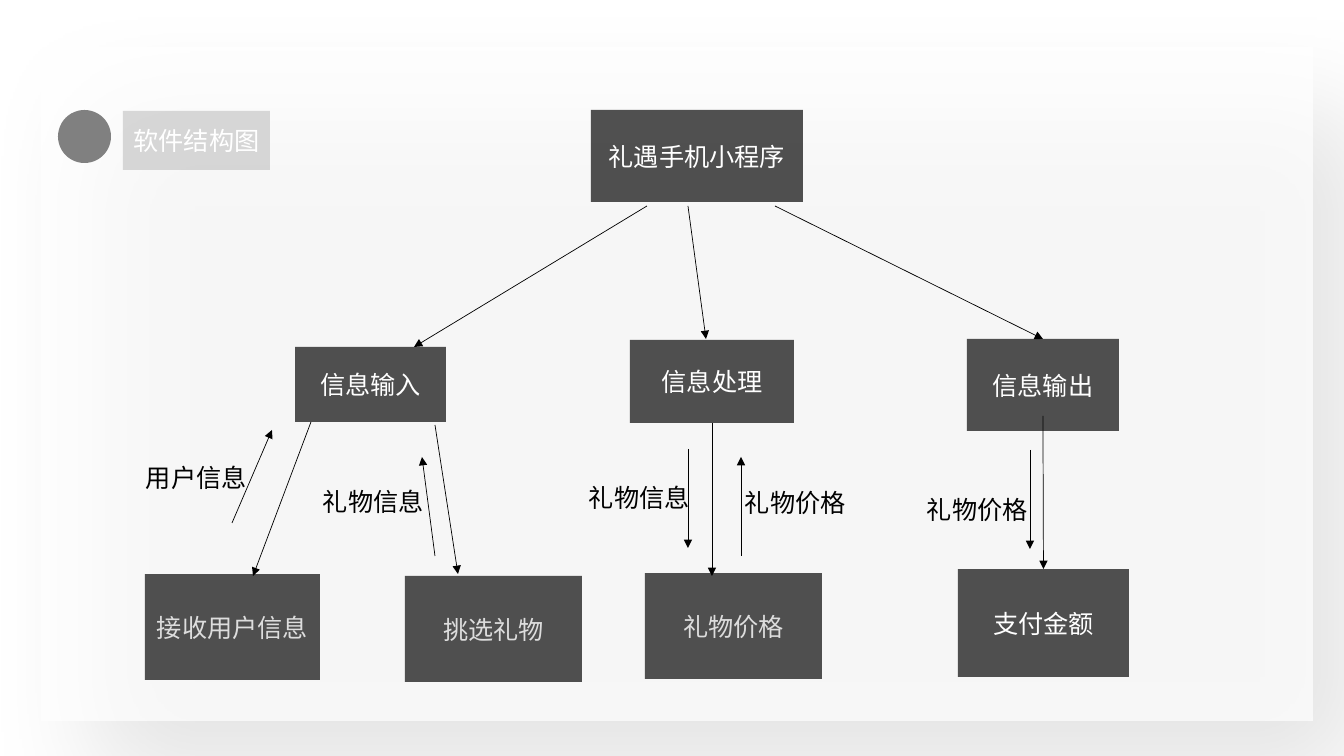
from pptx import Presentation
from pptx.dml.color import RGBColor
from pptx.enum.shapes import MSO_CONNECTOR, MSO_SHAPE
from pptx.enum.text import MSO_ANCHOR, MSO_AUTO_SIZE, PP_ALIGN
from pptx.oxml import parse_xml
from pptx.oxml.ns import nsdecls
from pptx.util import Emu, Pt

SCALE = 914400 / 100.8  # EMU per px
COLORS = {
    "panel": "FFFFFF",
    "box": "000000",
    "line": "000000",
    "label": "000000",
    "light": "FFFFFF",
    "muted": "DDDDDD",
    "dot": "808080",
    "title": "C6C6C6",
}
TOP, BOTTOM = 0, 2

# Offsets are measured from each branch's left and top.
# Calls: start, end, (begin site or None, leaf whose top is joined or None)
BRANCHES = [
    {
        "origin": (145, 347),
        "module": ("信息输入", (150, 0, 151, 75)),
        "leaves": [("接收用户信息", (0, 227, 175, 106), "muted"),
                   ("挑选礼物", (260, 229, 177, 106), "muted")],
        "calls": [((166, 75), (108, 229), (None, None)),
                  ((290, 78), (313, 227), (None, None))],
        "data": [((87, 176), (127, 83)), ((290, 209), (277, 110))],
        "labels": [("用户信息", (-9, 110)), ("礼物信息", (168, 134))],
    },
    {
        "origin": (630, 340),
        "module": ("信息处理", (0, 0, 164, 83)),
        "leaves": [("礼物价格", (15, 233, 177, 106), "muted")],
        "calls": [((82, 83), (82, 236), (BOTTOM, None))],
        "data": [((58, 109), (58, 208)), ((111, 216), (111, 117))],
        "labels": [("礼物信息", (-51, 137)), ("礼物价格", (105, 142))],
    },
    {
        "origin": (958, 339),
        "module": ("信息输出", (9, 0, 152, 92)),
        "leaves": [("支付金额", (0, 230, 171, 108), "light")],
        "calls": [((85, 77), (85, 230), (None, 0))],
        "data": [((72, 111), (72, 210))],
        "labels": [("礼物价格", (-41, 150))],
    },
]


def px(*lengths):
    return [Emu(round(length * SCALE)) for length in lengths]


def moved(origin, place):
    """Shift a point or box by the origin of its region."""
    return (origin[0] + place[0], origin[1] + place[1], *place[2:])


def write(shape, text, color="light", size=18, align=PP_ALIGN.CENTER,
          anchor=MSO_ANCHOR.MIDDLE, wrap=True):
    frame = shape.text_frame
    frame.word_wrap = wrap
    frame.vertical_anchor = anchor
    paragraph = frame.paragraphs[0]
    paragraph.alignment = align
    run = paragraph.add_run()
    run.text = text
    run.font.size = Pt(size)
    run.font.name = "Arial"
    run.font.color.rgb = RGBColor.from_string(COLORS[color])


def add_block(slide, box, color, alpha=None, kind=MSO_SHAPE.RECTANGLE):
    shape = slide.shapes.add_shape(kind, *px(*box))
    shape.fill.solid()
    shape.fill.fore_color.rgb = RGBColor.from_string(COLORS[color])
    if alpha is not None:
        color_element = shape._element.spPr.find(".//{*}srgbClr")
        color_element.append(parse_xml(
            f'<a:alpha {nsdecls("a")} val="{alpha * 1000}"/>'))
    shape.line.fill.background()
    shape.shadow.inherit = False
    return shape


def add_node(slide, box, text, color="light"):
    shape = add_block(slide, box, "box", alpha=68)
    write(shape, text, color=color)
    return shape


def add_arrow(slide, start, end):
    arrow = slide.shapes.add_connector(MSO_CONNECTOR.STRAIGHT, *px(*start, *end))
    arrow.line.color.rgb = RGBColor.from_string(COLORS["line"])
    arrow.line.width = Pt(0.5)
    arrow.line._get_or_add_ln().append(
        parse_xml(f'<a:tailEnd {nsdecls("a")} type="triangle"/>'))
    arrow._element.spPr.append(parse_xml(f'<a:effectLst {nsdecls("a")}/>'))
    return arrow


def add_label(slide, point, text):
    label = slide.shapes.add_textbox(*px(*point, 121, 40))
    write(label, text, color="label", align=PP_ALIGN.LEFT,
          anchor=MSO_ANCHOR.TOP, wrap=False)
    label.text_frame.auto_size = MSO_AUTO_SIZE.SHAPE_TO_FIT_TEXT


def draw_panel(slide, box):
    panel = add_block(slide, box, "panel", alpha=70)
    effects = panel._element.spPr.find("{*}effectLst")
    effects.append(parse_xml(
        f'<a:outerShdw {nsdecls("a")} blurRad="{Pt(81)}" dist="{Pt(57)}" '
        f'dir="{50 * 60000}" algn="tl" rotWithShape="0">'
        '<a:srgbClr val="000000"><a:alpha val="15000"/></a:srgbClr>'
        '</a:outerShdw>'))


def draw_title(slide, origin):
    add_block(slide, moved(origin, (0, 0, 53, 53)), "dot", kind=MSO_SHAPE.OVAL)
    title = add_block(slide, moved(origin, (65, 1, 147, 59)), "title", alpha=68)
    write(title, "软件结构图")


def draw_branch(slide, branch):
    """Draw one module with its leaves and data flows; return the module."""
    origin = branch["origin"]
    name, module_box = branch["module"]
    module = add_node(slide, moved(origin, module_box), name)
    leaves = [add_node(slide, moved(origin, box), text, color)
              for text, box, color in branch["leaves"]]
    for start, end, (begin_site, leaf) in branch["calls"]:
        arrow = add_arrow(slide, moved(origin, start), moved(origin, end))
        if begin_site is not None:
            arrow.begin_connect(module, begin_site)
        if leaf is not None:
            arrow.end_connect(leaves[leaf], TOP)
    for start, end in branch["data"]:
        add_arrow(slide, moved(origin, start), moved(origin, end))
    for text, point in branch["labels"]:
        add_label(slide, moved(origin, point), text)
    return module


def draw_root(slide, origin, output_module):
    """Draw the program box and its arrows down to the three modules."""
    add_node(slide, moved(origin, (0, 0, 212, 92)), "礼遇手机小程序")
    ends = [(56, (-177, 237)), (97, (115, 229)), (184, (452, 229))]
    arrows = [add_arrow(slide, moved(origin, (left, 96)), moved(origin, end))
              for left, end in ends]
    arrows[-1].end_connect(output_module, TOP)


def main():
    presentation = Presentation()
    presentation.slide_width, presentation.slide_height = px(1344, 756)
    slide = presentation.slides.add_slide(presentation.slide_layouts[6])

    draw_panel(slide, (41, 47, 1272, 674))
    modules = [draw_branch(slide, branch) for branch in BRANCHES]
    draw_root(slide, (591, 110), modules[-1])
    draw_title(slide, (58, 110))

    presentation.save("out.pptx")


if __name__ == "__main__":
    main()
